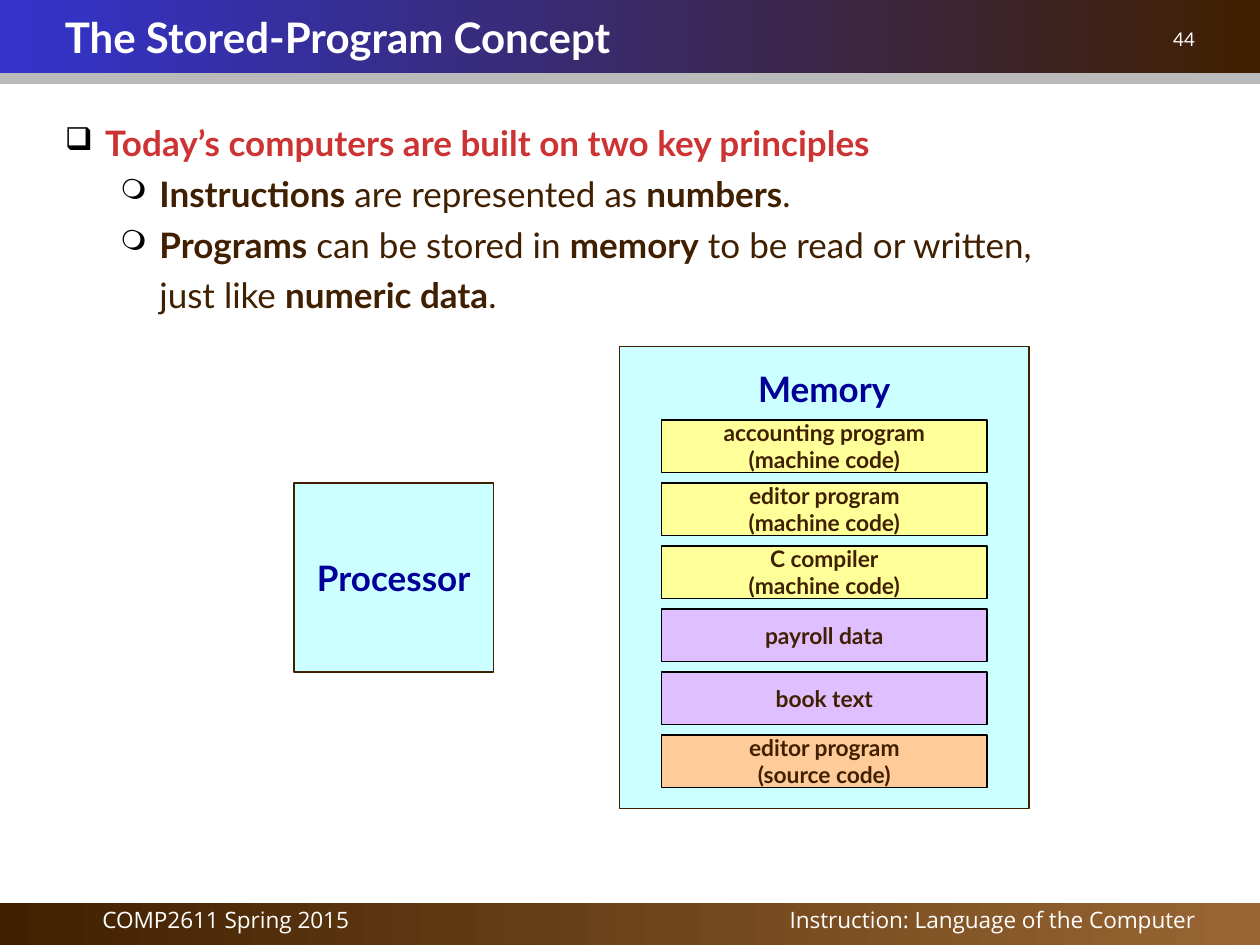
"""Build the slide on the stored-program concept."""
from lxml import etree
from pptx import Presentation
from pptx.dml.color import RGBColor
from pptx.enum.shapes import MSO_SHAPE
from pptx.enum.text import MSO_ANCHOR, PP_ALIGN
from pptx.oxml.ns import qn
from pptx.util import Inches, Pt

RECT = MSO_SHAPE.RECTANGLE
TOP, MIDDLE = MSO_ANCHOR.TOP, MSO_ANCHOR.MIDDLE
LEFT, CENTER, RIGHT = PP_ALIGN.LEFT, PP_ALIGN.CENTER, PP_ALIGN.RIGHT
COLORS = {
    "white": "FFFFFF", "black": "000000", "brown": "402000", "tan": "996633",
    "blue": "3333CC", "navy": "000099", "red": "CD3333", "gray": "777777",
    "cyan": "CCFFFF", "yellow": "FFFF99", "violet": "DFBFFF", "orange": "FFCC99",
}
RGB = {name: RGBColor.from_string(value) for name, value in COLORS.items()}

prs = Presentation()
prs.slide_width, prs.slide_height = Inches(10), Inches(7.5)
slide = prs.slides.add_slide(prs.slide_layouts[6])
CELL = prs.slide_width / 120


def add_box(col, row, cols, rows, fill=None, line=None):
    area = [round(n * CELL) for n in (col, row, cols, rows)]
    if fill is None:
        s = slide.shapes.add_textbox(*area)
    else:
        s = slide.shapes.add_shape(RECT, *area)
        s.shadow.inherit = False
        if isinstance(fill, tuple):
            s.fill.gradient()
            s.fill.gradient_angle = 0
            for stop, color in zip(s.fill.gradient_stops, fill):
                stop.color.rgb = RGB[color]
        else:
            s.fill.solid()
            s.fill.fore_color.rgb = RGB[fill]
        if line:
            s.line.color.rgb = RGB[line]
            s.line.width = Pt(0.75)
        else:
            s.line.fill.background()
    s.text_frame.word_wrap = True
    return s


def add_text(s, lines, size, color, bold, align, anchor=MIDDLE, font="Lato"):
    tf = s.text_frame
    tf.vertical_anchor = anchor
    for i, line in enumerate(lines):
        p = tf.paragraphs[0] if i == 0 else tf.add_paragraph()
        p.alignment = align
        r = p.add_run()
        r.text = line
        for name, value in {"name": font, "size": Pt(size), "bold": bold}.items():
            setattr(r.font, name, value)
        r.font.color.rgb = RGB[color]
    return tf


add_box(0, 86, 120, 4, ("brown", "tan"))
header = add_box(0, 0, 120, 7, ("blue", "brown"))
effects = header._element.spPr.find(qn("a:effectLst"))
shadow = etree.SubElement(effects, qn("a:outerShdw"), dist=str(Pt(6)), dir="5400000",
                          algn="ctr", rotWithShape="0")
tint = etree.SubElement(shadow, qn("a:srgbClr"), val=COLORS["gray"])
etree.SubElement(tint, qn("a:alpha"), val="50000")

for col, cols, text, align in [
    (3, 37, "COMP2611 Spring 2015", CENTER),
    (55, 60, "Instruction: Language of the Computer", RIGHT),
]:
    tf = add_text(add_box(col, 86, cols, 4), [text], 12.9, "white", False, align,
                  TOP, "Open Sans")
    tf.paragraphs[0].line_spacing = 0.9
add_text(add_box(90, 2, 25, 4), ["44"], 10.8, "white", False, RIGHT, TOP)
add_text(add_box(5, 0, 110, 7), ["The Stored-Program Concept"], 24, "white", True, LEFT)

body = [
    ("❑", 90, 0.32, 0.32, "red", ["", "Today’s computers are built on two key principles"]),
    ("❍", 80, 0.75, 0.31, "brown",
     ["", "Instructions", " are represented as ", "numbers", "."]),
    ("❍", 80, 0.75, 0.31, "brown",
     ["", "Programs", " can be stored in ", "memory", " to be read or written,"]),
    (None, 80, 0.75, 0, "brown", ["just like ", "numeric data", "."]),
]
tf = add_box(5, 11, 111, 72).text_frame
for i, (bullet, scale, margin, hang, color, runs) in enumerate(body):
    p = tf.add_paragraph() if i else tf.paragraphs[0]
    pPr = p._p.get_or_add_pPr()
    pPr.set("marL", str(Inches(margin)))
    pPr.set("indent", str(-Inches(hang)))
    if bullet:
        clr = etree.SubElement(pPr, qn("a:buClr"))
        etree.SubElement(clr, qn("a:srgbClr"), val=COLORS["black"])
        etree.SubElement(pPr, qn("a:buSzPct"), val=str(scale * 1000))
        etree.SubElement(pPr, qn("a:buChar"), char=bullet)
    if i:
        p.space_before = Pt(5)
    for j, text in enumerate(runs):
        if text:
            r = p.add_run()
            r.text = text
            for name, value in {"name": "Lato", "size": Pt(20), "bold": j % 2 == 1}.items():
                setattr(r.font, name, value)
            r.font.color.rgb = RGB[color]

add_text(add_box(28, 46, 19, 18, "cyan", "brown"), ["Processor"], 20, "navy", True, CENTER)
memory = add_box(59, 33, 39, 44, "cyan", "brown")
add_text(memory, ["Memory"], 20, "navy", True, CENTER, TOP).margin_top = round(2 * CELL)

contents = [
    ("yellow", ["accounting program", "(machine code)"]),
    ("yellow", ["editor program", "(machine code)"]),
    ("yellow", ["C compiler", "(machine code)"]),
    ("violet", ["payroll data"]),
    ("violet", ["book text"]),
    ("orange", ["editor program", "(source code)"]),
]
for i, (fill, lines) in enumerate(contents):
    s = add_box(63, 40 + 6 * i, 31, 5, fill, "black")
    add_text(s, lines, 13, "brown", True, CENTER)

prs.save("out.pptx")
